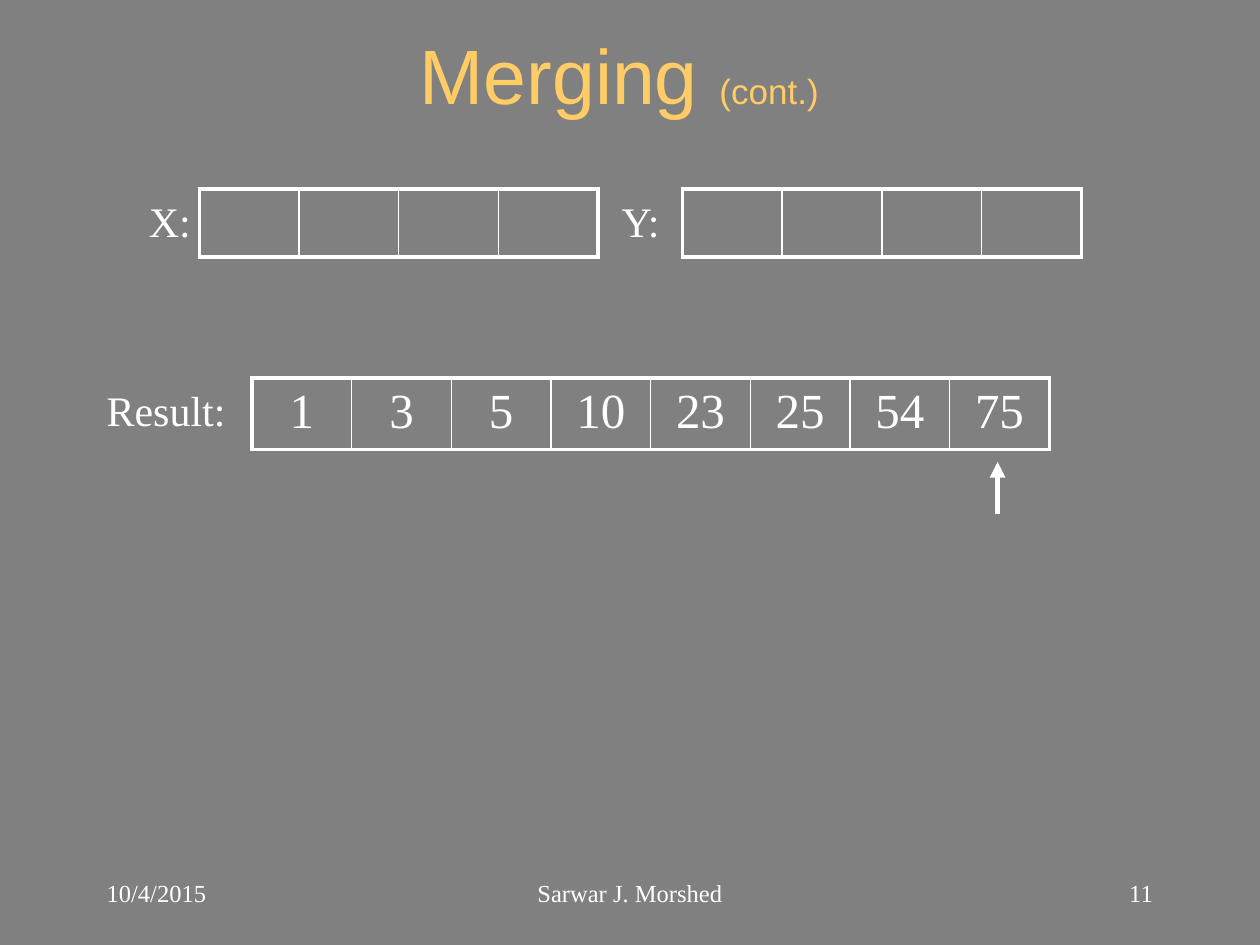
import pptx
import pptx.dml.color
import pptx.enum.shapes
import pptx.enum.text
import pptx.oxml
import pptx.oxml.ns
import pptx.util
from dataclasses import dataclass
from lxml import etree

Cm = pptx.util.Cm
Pt = pptx.util.Pt
ALIGN = pptx.enum.text.PP_ALIGN
ANCHOR = pptx.enum.text.MSO_ANCHOR
qn = pptx.oxml.ns.qn


@dataclass(frozen=True)
class Theme:
    background: str = "808080"
    accent: str = "FFCC66"
    ink: str = "FFFFFF"
    heading_font: str = "Arial"
    body_font: str = "Times New Roman"
    title_size: int = 44
    subtitle_size: int = 20
    value_size: int = 28
    label_size: int = 24
    footer_size: int = 14
    outer_border: float = 2.25
    inner_border: float = 1
    arrow_width: float = 3


THEME = Theme()
CELL_WIDTH = 2.01


def rgb(color):
    return pptx.dml.color.RGBColor.from_string(color)


def style_span(span, size, font=THEME.body_font, color=THEME.ink):
    span.font.size = Pt(size)
    span.font.name = font
    span.font.color.rgb = rgb(color)


def add_text(page, left, top, width, height, text, size,
             align=ALIGN.LEFT, anchor=ANCHOR.TOP):
    box = page.shapes.add_textbox(Cm(left), Cm(top), Cm(width), Cm(height))
    frame = box.text_frame
    frame.word_wrap = True
    frame.vertical_anchor = anchor
    frame.text = text
    para = frame.paragraphs[0]
    para.alignment = align
    style_span(para.runs[0], size)


def add_title(page):
    box = page.shapes.add_textbox(Cm(1.9), Cm(0.43), Cm(21.6), Cm(2.11))
    box.text_frame.word_wrap = True
    box.text_frame.vertical_anchor = ANCHOR.MIDDLE
    para = box.text_frame.paragraphs[0]
    para.alignment = ALIGN.CENTER
    for text, size in (("Merging ", THEME.title_size),
                       ("(cont.)", THEME.subtitle_size),
                       (" ", THEME.title_size)):
        span = para.add_run()
        span.text = text
        style_span(span, size, THEME.heading_font, THEME.accent)


def set_borders(cell, widths):
    """Draw the left, right, top and bottom borders, in that order."""
    properties = cell._tc.get_or_add_tcPr()
    for index, (side, width) in enumerate(zip("LRTB", widths)):
        line = etree.Element(qn(f"a:ln{side}"), w=str(int(Pt(width))))
        fill = etree.SubElement(line, qn("a:solidFill"))
        etree.SubElement(fill, qn("a:srgbClr"), val=THEME.ink)
        properties.insert(index, line)


def add_array(page, left, top, height, values):
    count = len(values)
    table = page.shapes.add_table(1, count, Cm(left), Cm(top),
                                  Cm(CELL_WIDTH * count), Cm(height)).table
    table.first_row = False
    table.horz_banding = False
    outer, inner = THEME.outer_border, THEME.inner_border
    for index, value in enumerate(values):
        table.columns[index].width = Cm(CELL_WIDTH)
        cell = table.cell(0, index)
        cell.fill.background()
        set_borders(cell, (outer if index == 0 else inner,
                           outer if index == count - 1 else inner,
                           outer, outer))
        if value:
            cell.text_frame.text = value
            para = cell.text_frame.paragraphs[0]
            para.alignment = ALIGN.CENTER
            style_span(para.runs[0], THEME.value_size)


def add_arrow(page, x, start, end):
    arrow = page.shapes.add_connector(
        pptx.enum.shapes.MSO_CONNECTOR.STRAIGHT,
        Cm(x), Cm(start), Cm(x), Cm(end))
    arrow.line.color.rgb = rgb(THEME.ink)
    arrow.line.width = Pt(THEME.arrow_width)
    etree.SubElement(arrow.line._get_or_add_ln(), qn("a:tailEnd"),
                     type="triangle")
    etree.SubElement(arrow._element.spPr, qn("a:effectLst"))


def main():
    deck = pptx.Presentation()
    deck.slide_width, deck.slide_height = Cm(25.4), Cm(19.05)
    page = deck.slides.add_slide(deck.slide_layouts[6])
    page.background.fill.solid()
    page.background.fill.fore_color.rgb = rgb(THEME.background)

    add_title(page)

    # Emptied inputs and the merged result
    source_top, result_top = 3.81, 7.62
    for left in (4.02, 13.76):
        add_array(page, left, source_top, 1.37, [""] * 4)
    add_array(page, 5.08, result_top, 1.42,
              ["1", "3", "5", "10", "23", "25", "54", "75"])

    # Pointer to the last merged value
    add_arrow(page, 20.11, 10.37, 9.31)

    # Array labels
    for text, left, top, width in (("X:", 2.75, source_top, 1.48),
                                   ("Y:", 12.28, source_top, 1.48),
                                   ("Result:", 1.9, result_top, 2.96)):
        add_text(page, left, top, width, 1.27, text, THEME.label_size)

    # Footer
    for text, left, width, align in (
            ("10/4/2015", 1.9, 5.29, ALIGN.LEFT),
            ("11", 18.2, 5.29, ALIGN.RIGHT),
            ("Sarwar J. Morshed", 8.68, 8.04, ALIGN.CENTER)):
        add_text(page, left, 17.36, width, 1.27, text, THEME.footer_size,
                 align, ANCHOR.MIDDLE)

    deck.save("out.pptx")


if __name__ == "__main__":
    main()
